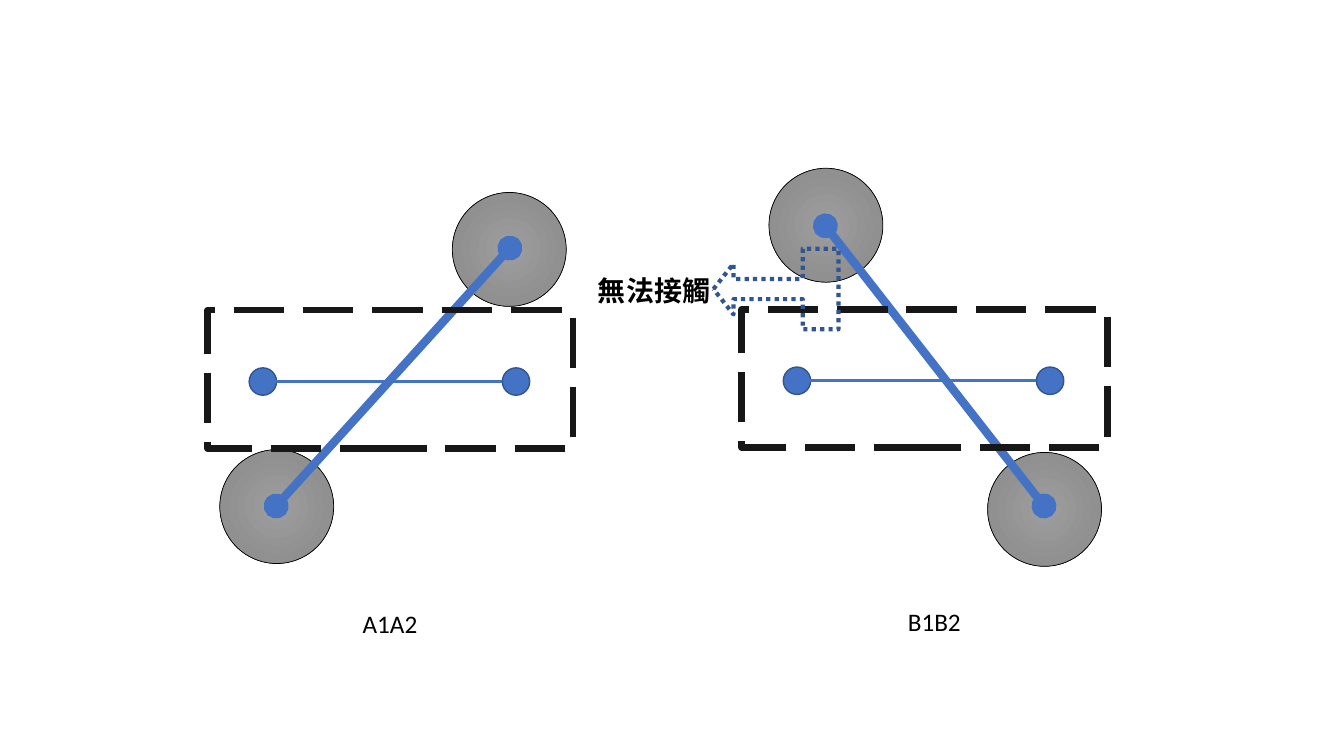
import pptx
import pptx.util
import pptx.dml.color
import pptx.enum.dml
import pptx.enum.shapes
import pptx.enum.text
import pptx.oxml
import pptx.oxml.ns
import lxml.etree

Cm = pptx.util.Cm
Pt = pptx.util.Pt
RGB = pptx.dml.color.RGBColor
KIND = pptx.enum.shapes.MSO_SHAPE
DASH = pptx.enum.dml.MSO_LINE
ALIGN = pptx.enum.text.PP_ALIGN
qn = pptx.oxml.ns.qn

BLUE = RGB(0x44, 0x72, 0xC4)
NAVY = RGB(0x32, 0x54, 0x91)
DARK = RGB(0x18, 0x17, 0x17)
BLACK = RGB(0, 0, 0)
GREYS = ((0, RGB(0x9D, 0x9D, 0x9D)), (50, RGB(0x90, 0x90, 0x90)),
         (100, RGB(0x7C, 0x7C, 0x7C)))

WHEEL = 2.87
DOT = 0.69
WIDE, HIGH = 9.22, 3.48


class Sketch:
    font = "Calibri"

    def __init__(self, slide):
        self.slide = slide
        self.shapes = slide.shapes

    def shape(self, kind, x, y, w, h, color, width, fill=None, dash=None):
        item = self.shapes.add_shape(kind, Cm(x), Cm(y), Cm(w), Cm(h))
        item.shadow.inherit = False
        if fill is None:
            item.fill.background()
        else:
            item.fill.solid()
            item.fill.fore_color.rgb = fill
        item.line.color.rgb = color
        item.line.width = Pt(width)
        if dash is not None:
            item.line.dash_style = dash
        return item

    def wheel(self, x, y):
        item = self.shape(KIND.OVAL, x, y, WHEEL, WHEEL, BLACK, 0.5)
        item.rotation = 330.2
        stops = "".join(f'<a:gs pos="{pos * 1000}"><a:srgbClr val="{grey}"/></a:gs>'
                        for pos, grey in GREYS)
        grad = pptx.oxml.parse_xml(
            f'<a:gradFill {pptx.oxml.ns.nsdecls("a")} rotWithShape="1">'
            f'<a:gsLst>{stops}</a:gsLst><a:path path="circle">'
            '<a:fillToRect l="50000" t="50000" r="50000" b="50000"/>'
            '</a:path></a:gradFill>')
        props = item._element.spPr
        props.replace(props.find(qn("a:noFill")), grad)

    def dot(self, x, y):
        self.shape(KIND.OVAL, x, y, DOT, DOT, NAVY, 1, BLUE)

    def line(self, start, end, width, oval=False):
        item = self.shapes.add_connector(
            pptx.enum.shapes.MSO_CONNECTOR.STRAIGHT,
            *(Cm(v) for v in (*start, *end)))
        item.line.color.rgb = BLUE
        item.line.width = Pt(width)
        props = item._element.spPr
        if oval:
            for name in ("a:headEnd", "a:tailEnd"):
                lxml.etree.SubElement(props.find(qn("a:ln")), qn(name), type="oval")
        lxml.etree.SubElement(props, qn("a:effectLst"))

    def text(self, words, x, y, w, h, size, bold=False, wrap=False, align=ALIGN.LEFT):
        frame = self.shapes.add_textbox(Cm(x), Cm(y), Cm(w), Cm(h)).text_frame
        frame.text = words
        frame.word_wrap = wrap
        frame.auto_size = pptx.enum.text.MSO_AUTO_SIZE.SHAPE_TO_FIT_TEXT
        para = frame.paragraphs[0]
        para.alignment = align
        font = para.runs[0].font
        font.name, font.size, font.bold = self.font, Pt(size), bold
        font.color.rgb = BLACK

    def unit(self, left, top, low, high, start, end):
        self.wheel(*low)
        self.wheel(*high)
        self.line(start, end, 6, oval=True)
        first, last, level = left + 1.05, left + 7.43, top + 1.45
        self.dot(first, level)
        self.dot(last, level)
        mid = level + DOT / 2
        self.line((first + DOT / 2, mid), (last, mid), 2.25)
        self.shape(KIND.RECTANGLE, left, top, WIDE, HIGH, DARK, 4.5, dash=DASH.LONG_DASH)

    def group(self):
        self.shapes = self.slide.shapes.add_group_shape().shapes

    def leave(self):
        self.shapes = self.slide.shapes


def main():
    deck = pptx.Presentation()
    deck.slide_width, deck.slide_height = Cm(33.87), Cm(19.05)
    draw = Sketch(deck.slides.add_slide(deck.slide_layouts[6]))

    draw.group()
    draw.unit(5.23, 7.82, (5.54, 11.33), (11.4, 4.85), (6.96, 12.75), (12.85, 6.25))
    draw.leave()
    draw.unit(18.69, 7.8, (24.89, 11.4), (19.38, 4.24), (26.31, 12.75), (20.8, 5.69))

    arrow = draw.shape(KIND.LEFT_ARROW_CALLOUT, 17.98, 6.27, 3.15, 2.03, NAVY, 3,
                       dash=DASH.ROUND_DOT)
    for place, value in enumerate((0.25, 0.316, 0.25, 0.286)):
        arrow.adjustments[place] = value

    draw.text("無法接觸", 14.3, 6.76, 4.37, 1.12, 20, True, True, ALIGN.CENTER)
    draw.text("A1A2", 8.89, 15.21, 1.91, 1.02, 18)
    draw.text("B1B2", 22.63, 15.16, 1.85, 1.02, 18)
    deck.save("out.pptx")


if __name__ == "__main__":
    main()
